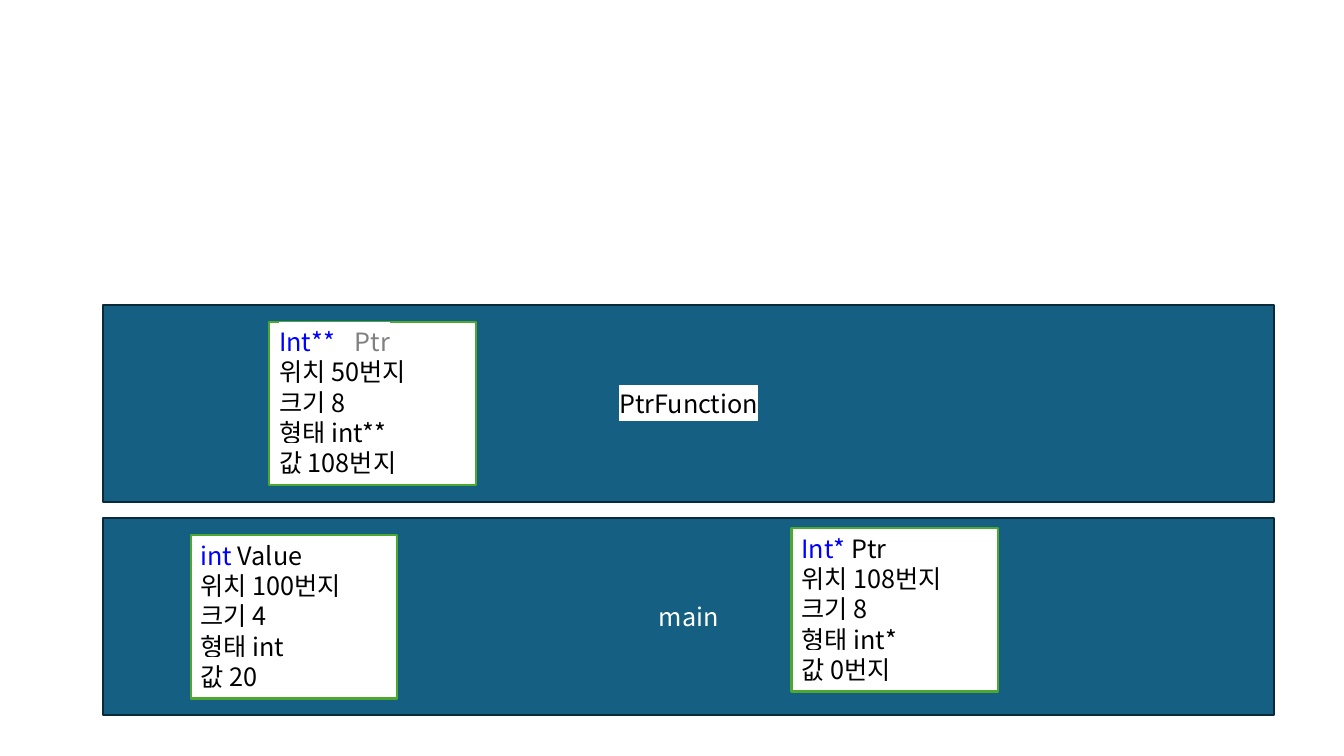
"""Build a slide showing the variables held in two stack frames."""
from pptx import Presentation
from pptx.dml.color import RGBColor
from pptx.enum.shapes import MSO_SHAPE
from pptx.enum.text import MSO_ANCHOR, MSO_AUTO_SIZE, PP_ALIGN
from pptx.oxml import parse_xml
from pptx.oxml.ns import nsdecls, qn
from pptx.util import Inches, Pt

RECTANGLE = MSO_SHAPE.RECTANGLE
TOP, MIDDLE = MSO_ANCHOR.TOP, MSO_ANCHOR.MIDDLE
LEFT, CENTER = PP_ALIGN.LEFT, PP_ALIGN.CENTER
GROW = MSO_AUTO_SIZE.SHAPE_TO_FIT_TEXT

FONT = "Noto Sans CJK KR"
WHITE, BLACK, BLUE, GRAY = "FFFFFF", "000000", "0000FF", "808080"
FRAME_FILL, FRAME_LINE, VARIABLE_LINE = "156082", "092A39", "4EA72E"

FRAME_LEFT, FRAME_SIZE = 1.02, (11.62, 1.95)
VARIABLE_SIZE = (2.05, 1.62)
LABELS = ("위치", "크기", "형태", "값")

FRAMES = [
    (5.14, "main", WHITE, None),
    (3.03, "PtrFunction", BLACK, WHITE),
]
VARIABLES = [
    (1.89, 5.31, [("int", BLUE), (" Value", BLACK)], ("100번지", "4", "int", "20")),
    (7.85, 5.24, [("Int*", BLUE), (" Ptr", BLACK)], ("108번지", "8", "int*", "0번지")),
    (2.67, 3.19, [("Int**", BLUE), (" _", BLACK), ("Ptr", GRAY)],
     ("50번지", "8", "int**", "108번지")),
]


def color(value):
    return RGBColor.from_string(value)


def add_span(para, text, text_color, highlight):
    span = para.add_run()
    span.text = text
    for name, value in {"size": Pt(18), "name": FONT}.items():
        setattr(span.font, name, value)
    span.font.color.rgb = color(text_color)
    properties = span.font._element
    properties.find(qn("a:latin")).addnext(
        parse_xml(f'<a:ea {nsdecls("a")} typeface="{FONT}"/>'))
    if highlight:
        properties.find(qn("a:solidFill")).addnext(parse_xml(
            f'<a:highlight {nsdecls("a")}><a:srgbClr val="{highlight}"/></a:highlight>'))


def add_box(page, position, size, fill, line, lines, align, highlight, frame_format):
    box = page.shapes.add_shape(RECTANGLE, *map(Inches, position + size))
    box.shadow.inherit = False
    box.fill.solid()
    box.fill.fore_color.rgb = color(fill)
    box.line.color.rgb = color(line)
    box.line.width = Pt(1.5)
    frame = box.text_frame
    for name, value in frame_format.items():
        setattr(frame, name, value)
    for index, spans in enumerate(lines):
        para = frame.add_paragraph() if index else frame.paragraphs[0]
        para.alignment = align
        for text, text_color in spans:
            add_span(para, text, text_color, highlight)


def main():
    deck = Presentation()
    deck.slide_width, deck.slide_height = Inches(13.33), Inches(7.5)
    page = deck.slides.add_slide(deck.slide_layouts[6])
    for top, name, text_color, highlight in FRAMES:
        add_box(page, (FRAME_LEFT, top), FRAME_SIZE, FRAME_FILL, FRAME_LINE,
                [[(name, text_color)]], CENTER, highlight,
                {"word_wrap": True, "vertical_anchor": MIDDLE})
    for left, top, heading, values in VARIABLES:
        details = [[(f"{label} {value}", BLACK)] for label, value in zip(LABELS, values)]
        add_box(page, (left, top), VARIABLE_SIZE, WHITE, VARIABLE_LINE,
                [heading] + details, LEFT, WHITE,
                {"word_wrap": True, "vertical_anchor": TOP, "auto_size": GROW})
    deck.save("out.pptx")


if __name__ == "__main__":
    main()
